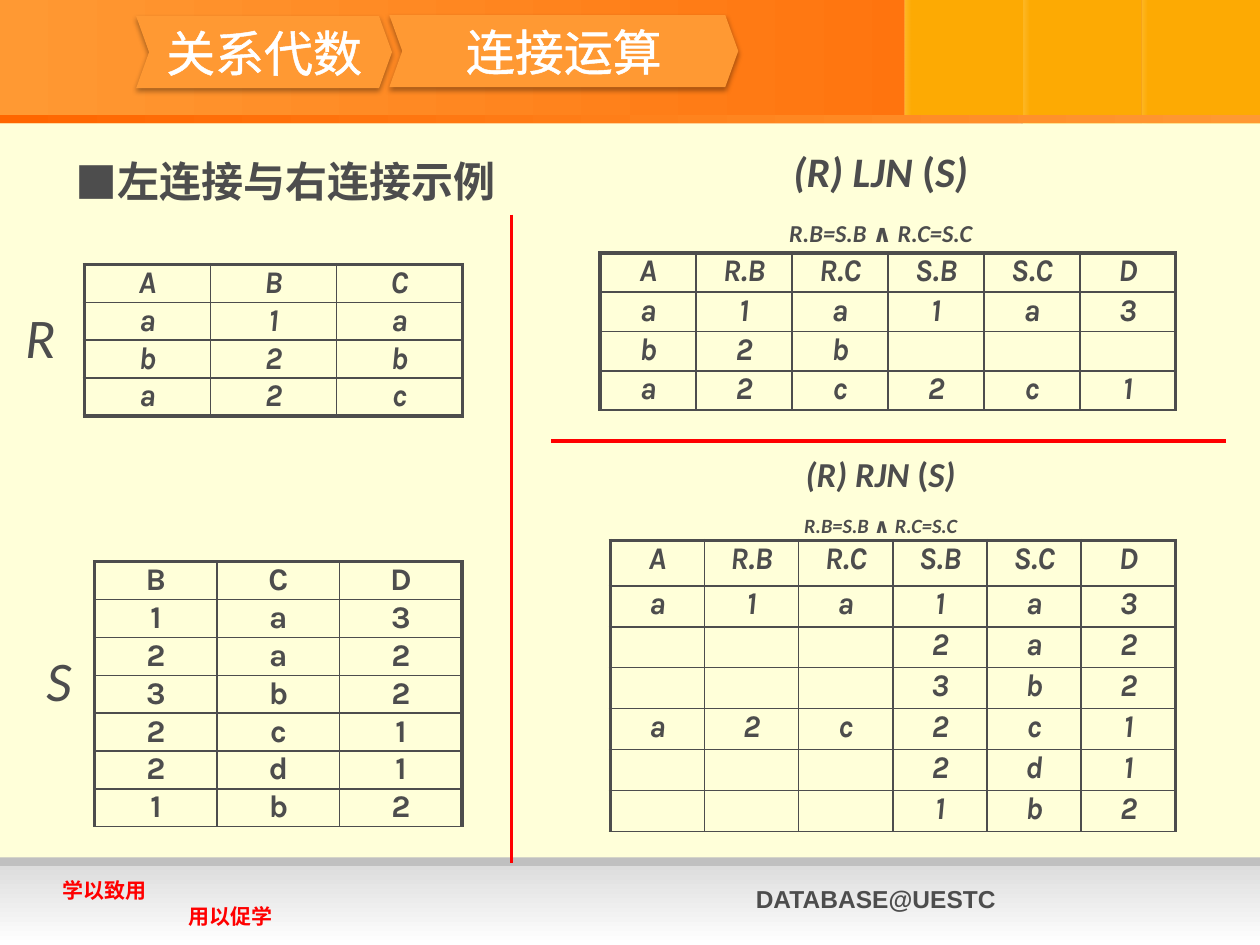
from lxml import etree
from pptx import Presentation
from pptx.dml.color import RGBColor as RGB
from pptx.enum.shapes import MSO_CONNECTOR as LINK, MSO_SHAPE as SHAPE
from pptx.enum.text import MSO_ANCHOR as ANCHOR, MSO_AUTO_SIZE as FIT, PP_ALIGN as ALIGN
from pptx.oxml import parse_xml
from pptx.oxml.ns import qn
from pptx.util import Pt

NS = 'xmlns:a="http://schemas.openxmlformats.org/drawingml/2006/main"'
COLORS = {
    "page": "FFFFD9", "ink": "4D4D4D", "red": "FF0000", "white": "FFFFFF",
    "orange": "FF9933", "deep": "FF6600", "amber": "FDAA03", "rust": "D25500",
    "brown": "612700", "silver": "C0C0C0", "mist": "DDDDDD", "black": "000000",
}
CJK = "Noto Sans CJK SC"


def color_xml(color, alpha=100):
    return f'<a:srgbClr val="{COLORS[color]}"><a:alpha val="{alpha * 1000}"/></a:srgbClr>'


class Deck:
    def __init__(self, width, height):
        self.prs = Presentation()
        self.prs.slide_width, self.prs.slide_height = Pt(width), Pt(height)
        self.slide = self.prs.slides.add_slide(self.prs.slide_layouts[5])
        self.shapes = self.slide.shapes
        page = self.slide.background.fill
        page.solid()
        page.fore_color.rgb = RGB.from_string(COLORS["page"])

    def add_words(self, para, words, size, font="Calibri", color="ink", bold=False,
                  italic=False, baseline=0, outline=0):
        run = para.add_run()
        run.text = words
        style = run.font
        style.size, style.name, style.bold, style.italic = Pt(size), font, bold, italic
        style.color.rgb = RGB.from_string(COLORS[color])
        props = run._r.get_or_add_rPr()
        if baseline:
            props.set("baseline", str(baseline * 1000))
        if outline:
            props.insert(0, parse_xml(f'<a:ln {NS} w="{Pt(outline)}"><a:solidFill>'
                                      f'{color_xml(color)}</a:solidFill></a:ln>'))
        props.find(qn("a:latin")).addnext(parse_xml(f'<a:ea {NS} typeface="{CJK}"/>'))

    def bar(self, left, top, width, height, fill, kind=SHAPE.RECTANGLE):
        shape = self.shapes.add_shape(kind, Pt(left), Pt(top), Pt(width), Pt(height))
        shape.shadow.inherit = False
        shape.line.fill.background()
        shape.fill.solid()
        shape.fill.fore_color.rgb = RGB.from_string(COLORS[fill])
        return shape

    def gradient(self, left, top, width, height, start, end, alphas=(100, 100), angle=0):
        shape = self.bar(left, top, width, height, start)
        solid = shape._element.spPr.find(qn("a:solidFill"))
        stops = "".join(f'<a:gs pos="{pos}">{color_xml(color, alpha)}</a:gs>'
                        for pos, color, alpha in zip((0, 100000), (start, end), alphas))
        solid.getparent().replace(solid, parse_xml(
            f'<a:gradFill {NS} rotWithShape="1"><a:gsLst>{stops}</a:gsLst>'
            f'<a:lin ang="{angle * 60000}" scaled="0"/></a:gradFill>'))

    def chevron(self, left, top, width, height, words):
        shape = self.bar(left, top, width, height, "orange", SHAPE.CHEVRON)
        shape.adjustments[0] = 0.18
        shape._element.spPr.find(qn("a:effectLst")).append(parse_xml(
            f'<a:outerShdw {NS} blurRad="{Pt(3.1)}" dist="{Pt(1.8)}" dir="5400000" '
            f'rotWithShape="0">{color_xml("black", 35)}</a:outerShdw>'))
        frame = shape.text_frame
        frame.vertical_anchor = ANCHOR.MIDDLE
        frame.paragraphs[0].alignment = ALIGN.CENTER
        self.add_words(frame.paragraphs[0], words, 28, CJK, "white", outline=1.45)

    def heading(self, left, top, width, height, words):
        title = self.shapes.title
        title.left, title.top, title.width, title.height = map(Pt, (left, top, width, height))
        self.shapes._spTree.append(title._element)
        frame = title.text_frame
        frame.auto_size, frame.vertical_anchor, frame.word_wrap = FIT.NONE, ANCHOR.TOP, True
        para = frame.paragraphs[0]
        props = para._p.get_or_add_pPr()
        props.set("marL", str(Pt(58.5)))
        props.set("indent", str(Pt(-22.5)))
        etree.SubElement(props, qn("a:buFont")).set("typeface", CJK)
        etree.SubElement(props, qn("a:buChar")).set("char", "■")
        para.alignment = ALIGN.LEFT
        self.add_words(para, words, 24, CJK, bold=True)

    def text(self, left, top, width, height, lines, align=ALIGN.CENTER,
             anchor=ANCHOR.MIDDLE, wrap=False, spacing=None, indents=(0, 0), **style):
        box = self.shapes.add_textbox(Pt(left), Pt(top), Pt(width), Pt(height))
        frame = box.text_frame
        frame.word_wrap, frame.vertical_anchor = wrap, anchor
        for number, (runs, indent) in enumerate(zip(lines, indents)):
            para = frame.add_paragraph() if number else frame.paragraphs[0]
            para.alignment, para.line_spacing = align, spacing
            if indent:
                para._p.get_or_add_pPr().set("marL", str(Pt(indent)))
            for words, extra in runs:
                self.add_words(para, words, **{**style, **extra})

    def join_label(self, top, height, name, size):
        low, upright = {"baseline": -25}, {"italic": False}
        self.text(360, top, 286.5, height, [
            [(f"(R) {name}", {}), (" (", upright), ("S)", {})],
            [("R.B=S.B ", low), ("∧ ", {**low, **upright}), ("R.C=S.C", low)],
        ], spacing=0.8, size=size, bold=True, italic=True)

    def relation(self, left, top, col_width, heights, rows, italic=True, bottom=1):
        last_row, last_col = len(rows) - 1, len(rows[0]) - 1
        frame = self.shapes.add_table(len(rows), len(rows[0]), Pt(left), Pt(top),
                                      Pt(col_width * len(rows[0])), Pt(sum(heights)))
        table = frame.table
        table.first_row = table.horz_banding = False
        for column in table.columns:
            column.width = Pt(col_width)
        for r, values in enumerate(rows):
            table.rows[r].height = Pt(heights[r])
            for c, value in enumerate(values):
                cell = table.cell(r, c)
                cell.margin_left = cell.margin_right = cell.margin_top = cell.margin_bottom = 0
                borders = {"L": 1 if c else 2.25, "R": 2.25 if c == last_col else 1,
                           "T": 1 if r else 2.25, "B": bottom if r == last_row else 1}
                props = cell._tc.get_or_add_tcPr()
                for side, weight in borders.items():
                    props.append(parse_xml(
                        f'<a:ln{side} {NS} w="{Pt(weight)}"><a:solidFill>'
                        f'{color_xml("ink")}</a:solidFill></a:ln{side}>'))
                cell.fill.background()
                para = cell.text_frame.paragraphs[0]
                para.alignment = ALIGN.CENTER
                if value != "-":
                    self.add_words(para, value, 18, "Karla", bold=True, italic=italic)

    def divider(self, x1, y1, x2, y2):
        line = self.shapes.add_connector(LINK.STRAIGHT, Pt(x1), Pt(y1), Pt(x2), Pt(y2))
        line.line.width = Pt(2)
        line.line.color.rgb = RGB.from_string(COLORS["red"])
        etree.SubElement(line._element.spPr, qn("a:effectLst"))


def grid(text):
    return [line.split() for line in text.split("/")]


def main():
    deck = Deck(720, 540)
    deck.gradient(0, 0, 720, 71.3, "orange", "deep")
    for left, height in ((652.3, 71.3), (584.6, 71.3), (517, 66.2)):
        if height > 70:
            deck.gradient(left - 0.7, 0, 67.7, height, "rust", "brown", (80, 0))
        deck.bar(left, 0, 67.7, height, "amber")
        deck.gradient(left, 0, 3.6, height, "page", "amber", (18, 15))
    deck.bar(0, 490, 720, 21, "silver")
    deck.gradient(0, 494.7, 720, 45.3, "mist", "white", angle=90)
    deck.gradient(0, 65.5, 720, 5, "deep", "orange")
    deck.bar(0, 70.5, 720, 44, "page")

    footer = dict(align=ALIGN.LEFT, anchor=ANCHOR.TOP, wrap=True, font="Arial", bold=True)
    deck.text(424.8, 501.8, 248.4, 24.5, [[("DATABASE@UESTC", {})]], size=14, **footer)
    deck.text(28.8, 498.2, 144, 36, [[("学以致用", {})], [("用以促学", {})]],
              indents=(0, 72), size=12, color="red", **footer)

    deck.heading(0, 85, 704.2, 393, "左连接与右连接示例")
    deck.chevron(77.8, 9.2, 146.2, 41.2, "关系代数")
    deck.chevron(222.5, 8.6, 199.4, 41.2, "连接运算")

    deck.relation(48.2, 151.2, 72, [21.6] * 4, grid("A B C/a 1 a/b 2 b/a 2 c"), bottom=2.25)
    deck.text(0, 159.1, 46, 66.2, [[("R", {})]], size=32, italic=True)
    deck.text(19.4, 355, 23.8, 66.2, [[("S", {})]], size=32, italic=True)
    deck.divider(292.3, 122.6, 292.3, 493.2)
    deck.join_label(87.8, 51.1, "LJN", 24)
    deck.relation(342.9, 144.5, 54.85, [22.5] * 4,
                  grid("A R.B R.C S.B S.C D/a 1 a 1 a 3/b 2 b - - -/a 2 c 2 c 1"))
    deck.relation(54.1, 321, 70, [21.6] * 7,
                  grid("B C D/1 a 3/2 a 2/3 b 2/2 c 1/2 d 1/1 b 2"), italic=False)
    deck.relation(348.7, 308.9, 53.85, [25.9] + [23.4] * 6,
                  grid("A R.B R.C S.B S.C D/a 1 a 1 a 3/- - - 2 a 2/- - - 3 b 2/"
                       "a 2 c 2 c 1/- - - 2 d 1/- - - 1 b 2"))
    deck.join_label(258.5, 50.4, "RJN", 20)
    deck.divider(700.6, 252, 314.6, 252)
    deck.prs.save("out.pptx")


if __name__ == "__main__":
    main()
